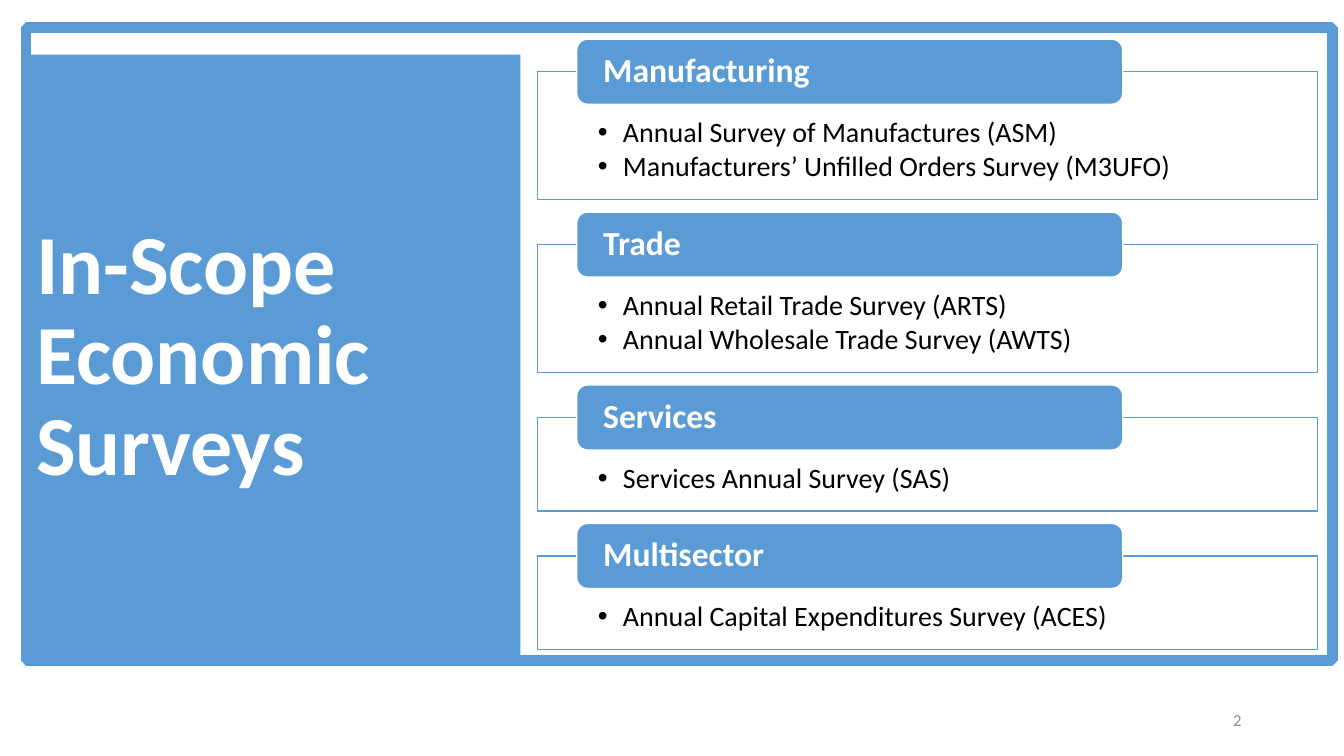
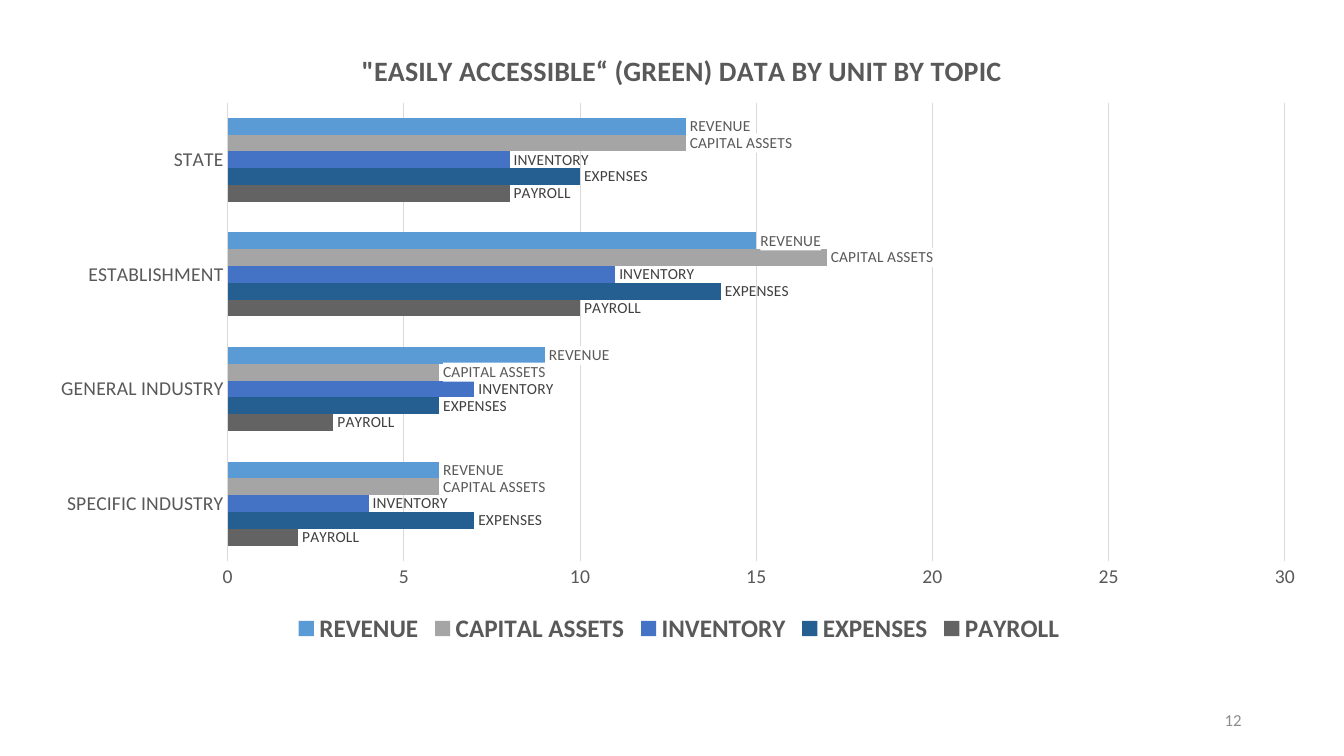
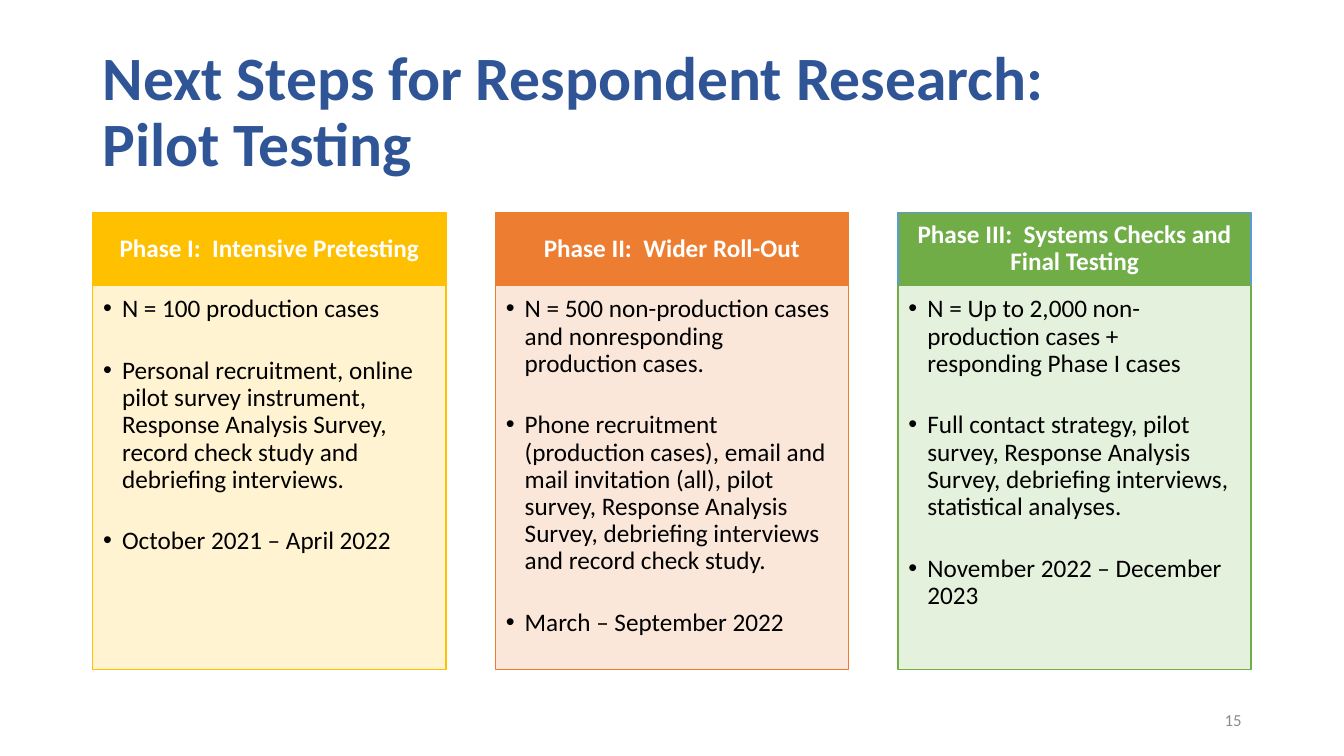
"""Build three slides on annual economic surveys and their pilot testing."""
from dataclasses import dataclass

from lxml.etree import SubElement
from pptx import Presentation
from pptx.chart.data import CategoryChartData
from pptx.dml.color import RGBColor
from pptx.enum.chart import XL_CHART_TYPE, XL_LABEL_POSITION, XL_LEGEND_POSITION, XL_TICK_MARK
from pptx.enum.shapes import MSO_SHAPE
from pptx.enum.text import MSO_ANCHOR, PP_ALIGN
from pptx.oxml import parse_xml
from pptx.oxml.ns import nsdecls, qn
from pptx.util import Pt


@dataclass(frozen=True)
class Theme:
    font: str = "Calibri"
    blue: str = "5B9BD5"
    navy: str = "2F5597"
    gold: str = "FFC000"
    orange: str = "ED7D31"
    green: str = "70AD47"
    white: str = "FFFFFF"
    black: str = "000000"
    gray: str = "595959"
    dark: str = "404040"
    pale: str = "D9D9D9"
    foot: str = "8C8C8C"
    hero: int = 60
    title: int = 44
    head: int = 24
    body: int = 20
    phase: int = 18
    axis: int = 14
    note: int = 12
    label: int = 11


look = Theme()
rgb = RGBColor.from_string


def draw(slide, box, fill=None, line=None, width=1, kind=MSO_SHAPE.RECTANGLE):
    item = slide.shapes.add_shape(kind, *map(Pt, box))
    item.shadow.inherit = False
    if fill:
        item.fill.solid()
        item.fill.fore_color.rgb = rgb(fill)
    else:
        item.fill.background()
    if line:
        item.line.color.rgb = rgb(line)
        item.line.width = Pt(width)
    else:
        item.line.fill.background()
    return item


def write(item, texts, size, color, bold=False, align=PP_ALIGN.LEFT, anchor=MSO_ANCHOR.MIDDLE,
          inset=(7.2, 3.6, 7.2, 3.6), hang=0, gap=0):
    frame = item.text_frame
    frame.word_wrap = True
    frame.vertical_anchor = anchor
    frame.margin_left, frame.margin_top, frame.margin_right, frame.margin_bottom = map(Pt, inset)
    for n, text in enumerate(texts):
        para = frame.add_paragraph() if n else frame.paragraphs[0]
        para.alignment = align
        para.line_spacing = 0.9
        if n:
            para.space_before = Pt(gap)
        if hang:
            props = para._p.get_or_add_pPr()
            props.set("marL", str(Pt(hang)))
            props.set("indent", str(-Pt(hang)))
            SubElement(props, qn("a:buFont")).set("typeface", "Arial")
            SubElement(props, qn("a:buChar")).set("char", "•")
        for k, part in enumerate(text.split("\n")):
            if k:
                para.add_line_break()
            run = para.add_run()
            run.text = part
            run.font.name = look.font
            run.font.size = Pt(size)
            run.font.bold = bold
            run.font.color.rgb = rgb(color)


deck = Presentation()
deck.slide_width, deck.slide_height = Pt(960), Pt(540)
pages = []
for number in ("2", "12", "15"):
    page = deck.slides.add_slide(deck.slide_layouts[6])
    foot = page.shapes.add_textbox(Pt(678), Pt(500.5), Pt(216), Pt(28.8))
    write(foot, [number], look.note, look.foot, align=PP_ALIGN.RIGHT)
    pages.append(page)
scope, data, pilot = pages

panel = draw(scope, (18.7, 39, 353, 432.7), look.blue)
write(panel, ["In-Scope\nEconomic Surveys"], look.hero, look.white, True)

sectors = [
    ("Manufacturing", ["Annual Survey of Manufactures (ASM)",
                       "Manufacturers’ Unfilled Orders Survey (M3UFO)"]),
    ("Trade", ["Annual Retail Trade Survey (ARTS)", "Annual Wholesale Trade Survey (AWTS)"]),
    ("Services", ["Services Annual Survey (SAS)"]),
    ("Multisector", ["Annual Capital Expenditures Survey (ACES)"]),
]
top = 51.2
for name, surveys in sectors:
    high = 42.2 + 24.6 * len(surveys)
    card = draw(scope, (383.8, top, 557.3, high), look.white, look.blue)
    write(card, surveys, look.body, look.black, anchor=MSO_ANCHOR.TOP,
          inset=(43.2, 33.2, 43.2, 11.5), hang=18, gap=3)
    tab = draw(scope, (412, top - 23.2, 390, 46.5), look.blue, look.white,
               kind=MSO_SHAPE.ROUNDED_RECTANGLE)
    write(tab, [name], look.head, look.white, True, inset=(16.6, 0, 16.6, 0))
    top += high + 32.1

border = draw(scope, (18.7, 19.5, 933.1, 452.2), line=look.blue, width=7.5)
SubElement(border.line._get_or_add_ln(), qn("a:bevel"))

series = [
    ("PAYROLL", (2, 3, 10, 8), "636363", look.dark),
    ("EXPENSES", (7, 6, 14, 10), "255E91", look.dark),
    ("INVENTORY", (4, 7, 11, 8), "4472C4", look.dark),
    ("CAPITAL ASSETS", (6, 6, 17, 13), "A5A5A5", look.gray),
    ("REVENUE", (6, 9, 15, 13), look.blue, look.gray),
]
table = CategoryChartData()
table.categories = ["SPECIFIC INDUSTRY", "GENERAL INDUSTRY", "ESTABLISHMENT", "STATE"]
for name, values, color, ink in series:
    table.add_series(name, values)
chart = data.shapes.add_chart(XL_CHART_TYPE.BAR_CLUSTERED, Pt(24.5), Pt(15), Pt(921), Pt(448.5),
                              table).chart
chart.font.name = look.font
chart.font.size = Pt(look.axis)
chart.font.color.rgb = rgb(look.gray)

chart.has_title = True
run = chart.chart_title.text_frame.paragraphs[0].add_run()
run.text = '"EASILY ACCESSIBLE“ (GREEN) DATA BY UNIT BY TOPIC'
run.font.name = look.font
run.font.size = Pt(look.body)
run.font.bold = True
run.font.color.rgb = rgb(look.gray)

plot = chart.plots[0]
plot.gap_width = 182
plot.overlap = 0
plot.vary_by_categories = False
for bar, (name, values, color, ink) in zip(plot.series, series):
    bar.format.fill.solid()
    bar.format.fill.fore_color.rgb = rgb(color)
    tags = bar.data_labels
    tags.show_series_name = True
    tags.show_value = False
    tags.position = XL_LABEL_POSITION.OUTSIDE_END
    tags.font.name = look.font
    tags.font.size = Pt(look.label)
    tags.font.color.rgb = rgb(ink)
    if ink == look.gray:
        tags._element.find(qn("c:txPr")).addprevious(parse_xml(
            f'<c:spPr {nsdecls("c", "a")}><a:solidFill><a:srgbClr val="{look.white}"/>'
            '</a:solidFill></c:spPr>'))

for axis in (chart.category_axis, chart.value_axis):
    axis.major_tick_mark = axis.minor_tick_mark = XL_TICK_MARK.NONE
    axis.tick_labels.font.name = look.font
    axis.tick_labels.font.size = Pt(look.axis)
    axis.tick_labels.font.color.rgb = rgb(look.gray)
scale = chart.value_axis
scale.minimum_scale, scale.maximum_scale, scale.major_unit = 0, 30, 5
scale.format.line.fill.background()
for rule in (scale.major_gridlines.format.line, chart.category_axis.format.line):
    rule.color.rgb = rgb(look.pale)
    rule.width = Pt(0.75)

chart.has_legend = True
chart.legend.position = XL_LEGEND_POSITION.BOTTOM
chart.legend.include_in_layout = False
chart.legend.font.name = look.font
chart.legend.font.size = Pt(look.phase)
chart.legend.font.bold = True
chart.legend.font.color.rgb = rgb(look.gray)

area = chart._chartSpace.chart.plotArea
for old in area.findall(qn("c:layout")):
    area.remove(old)
spots = [
    (area, 0, {"layoutTarget": "inner", "xMode": "edge", "yMode": "edge",
               "x": 0.15, "y": 0.13, "w": 0.82, "h": 0.73}),
    (chart.chart_title._element, 1, {"xMode": "edge", "yMode": "edge", "x": 0.25, "y": 0.04}),
]
for owner, index, rules in spots:
    for old in owner.findall(qn("c:layout")):
        owner.remove(old)
    parts = "".join(f'<c:{key} val="{value}"/>' for key, value in rules.items())
    owner.insert(index, parse_xml(
        f'<c:layout {nsdecls("c")}><c:manualLayout>{parts}</c:manualLayout></c:layout>'))

title = pilot.shapes.add_textbox(Pt(66.2), Pt(28.8), Pt(828), Pt(104.4))
write(title, ["Next Steps for Respondent Research:\nPilot Testing"], look.title, look.navy, True)

phases = [
    ("Phase I:  Intensive Pretesting", look.gold, look.gold, "FFF2CC", [
        "N = 100 production cases",
        "Personal recruitment, online pilot survey instrument, Response Analysis Survey, "
        "record check study and debriefing interviews.",
        "October 2021 – April 2022"]),
    ("Phase II:  Wider Roll-Out", look.orange, look.orange, "FBE5D6", [
        "N = 500 non-production cases and nonresponding production cases.",
        "Phone recruitment (production cases), email and mail invitation (all), pilot survey, "
        "Response Analysis Survey, debriefing interviews and record check study.",
        "March – September 2022"]),
    ("Phase III:  Systems Checks and Final Testing", look.green, look.blue, "E2F0D9", [
        "N = Up to 2,000 non-production cases + responding Phase I cases",
        "Full contact strategy, pilot survey, Response Analysis Survey, debriefing interviews, "
        "statistical analyses.",
        "November 2022 – December 2023"]),
]
for n, (name, color, edge, tint, steps) in enumerate(phases):
    left = 66.2 + 287.6 * n
    head = draw(pilot, (left, 152, 252.3, 52), color, edge)
    write(head, [name], look.phase, look.white, True, PP_ALIGN.CENTER,
          inset=(10, 5.8, 10, 5.8))
    body = draw(pilot, (left, 204, 252.3, 274.3), tint, color)
    shade = body.fill._xPr.find(qn("a:solidFill"))[0]
    SubElement(shade, qn("a:alpha")).set("val", "90000")
    write(body, steps, look.phase, look.black, anchor=MSO_ANCHOR.TOP,
          inset=(7.5, 7.5, 10, 11.5), hang=13.5, gap=24.5)

deck.save("out.pptx")
